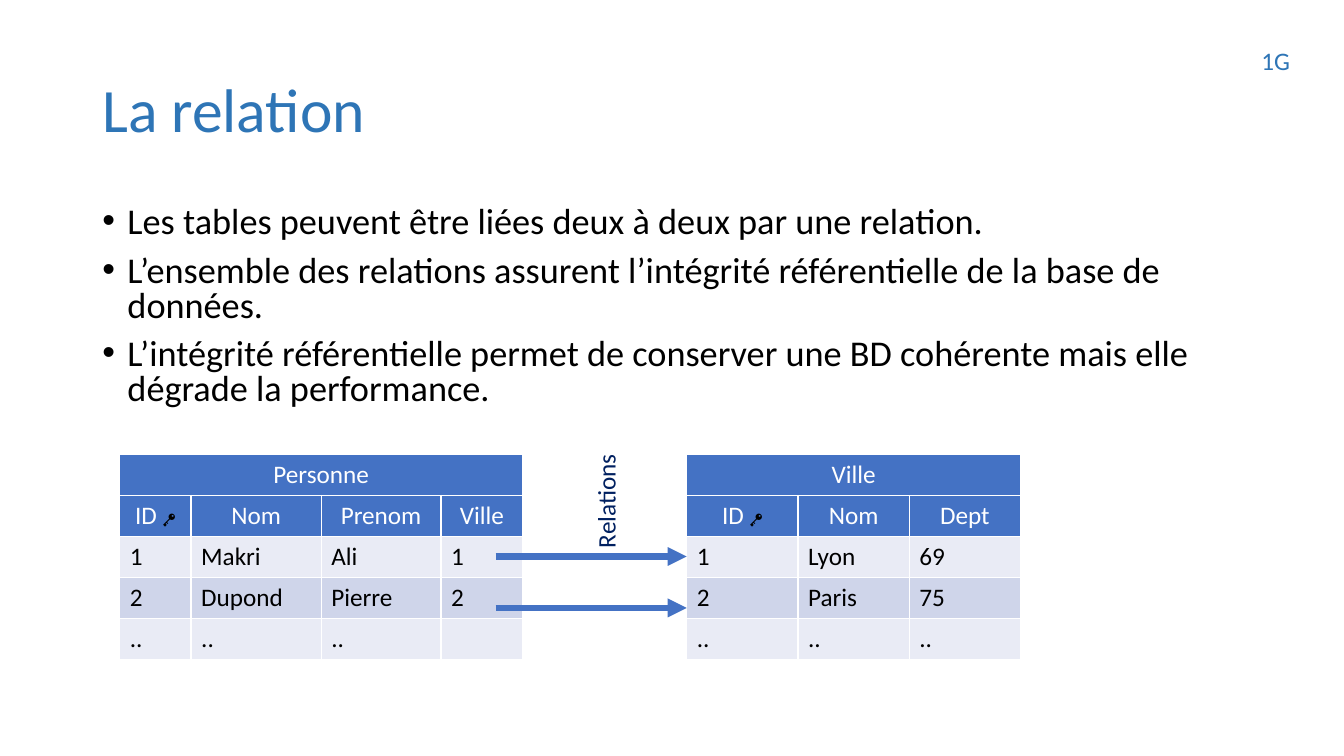
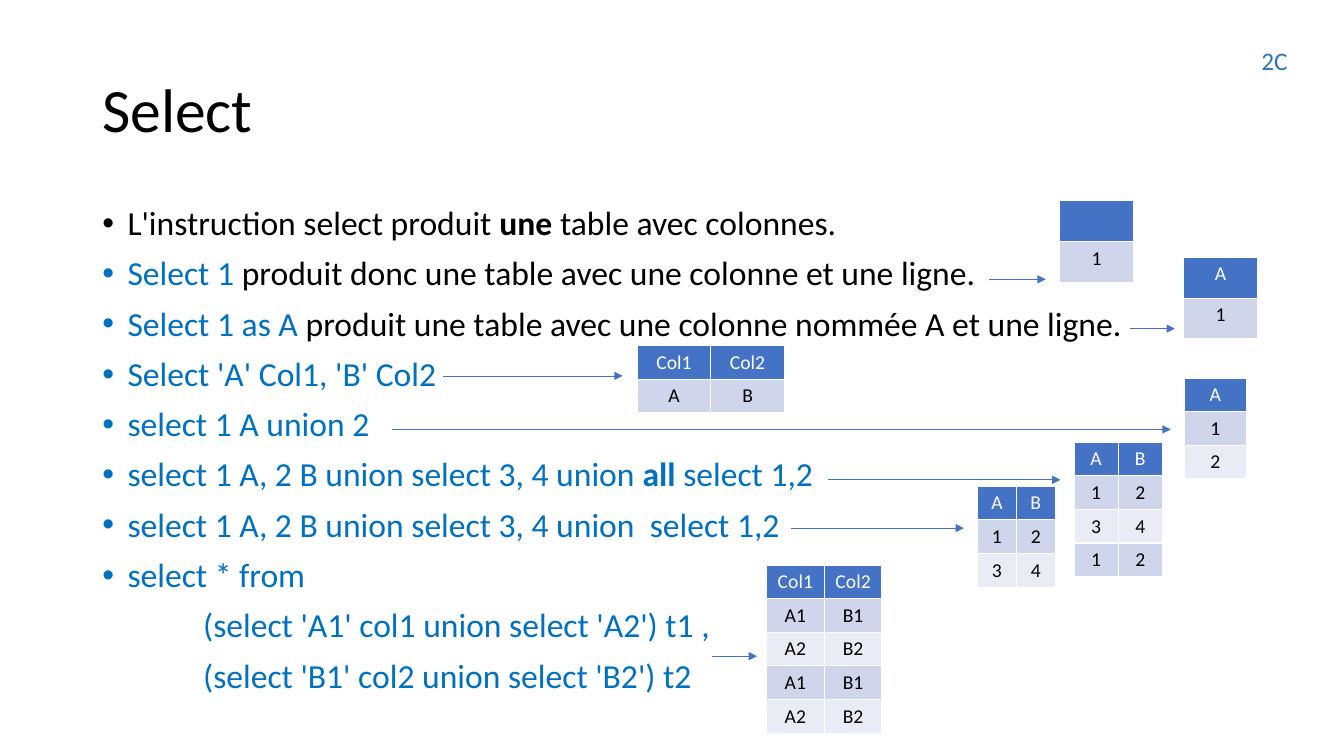
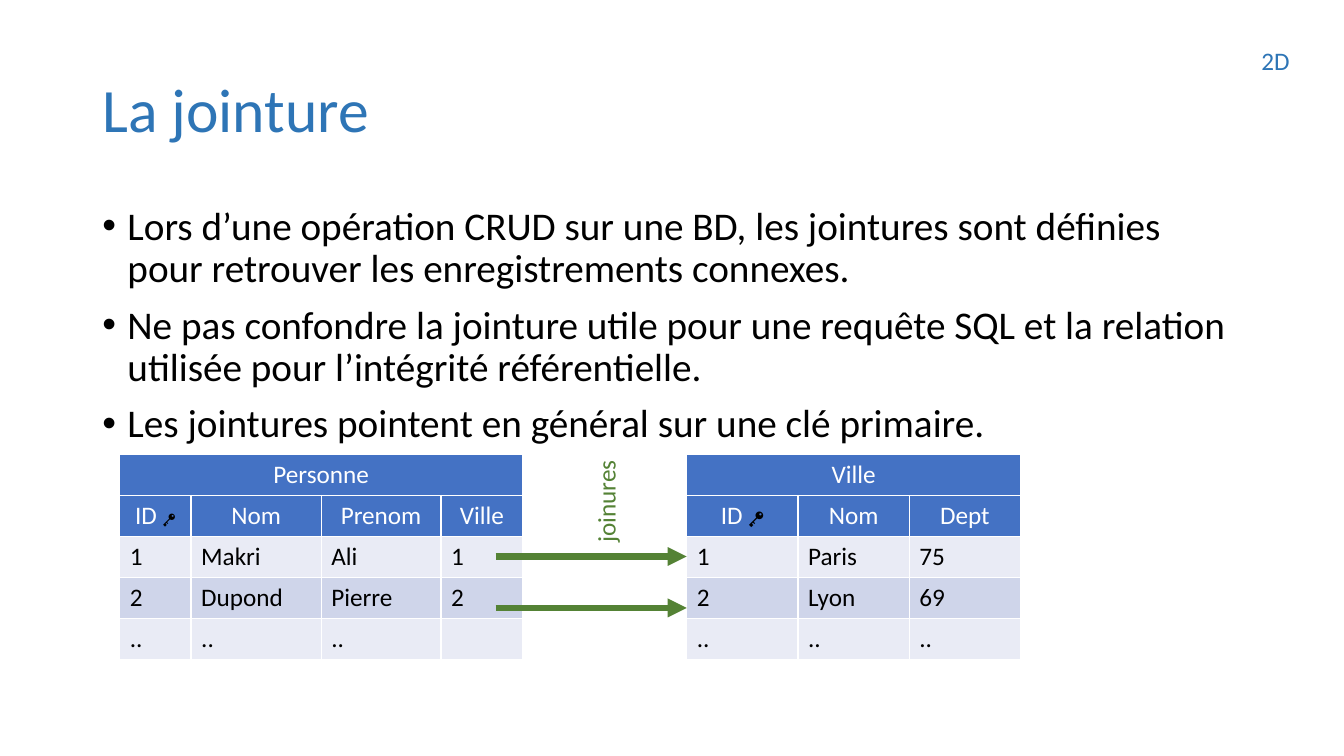
from lxml.etree import SubElement
from pptx import Presentation
from pptx.dml.color import RGBColor
from pptx.enum.shapes import MSO_CONNECTOR as Connector
from pptx.enum.text import MSO_ANCHOR as Anchor, MSO_AUTO_SIZE as AutoSize, PP_ALIGN as Align
from pptx.oxml.ns import qn
from pptx.util import Emu, Pt

FONT = "Calibri"
BLACK, WHITE = "000000", "FFFFFF"
TITLE_BLUE, SQL_BLUE, NAVY, GREEN = "2E75B6", "0070C0", "002060", "548235"
HEADER_BLUE, BAND_DARK, BAND_LIGHT = "4472C4", "CFD5EA", "E9EBF5"
SQL = {"color": SQL_BLUE}
SQL_BOLD = {"color": SQL_BLUE, "bold": True}
LEFT, CONTENT_WIDTH, TABLES_TOP = 88, 1104, 433
TALL_ROW, SHORT_ROW = 39, 32


def px(value):
    """Turn whole pixels into EMU."""
    return Emu(value * 9525)


def rgb(value):
    """Turn a hex string into a colour."""
    return RGBColor.from_string(value)


def add_text(paragraph, text, *, size=18, color=BLACK, bold=False):
    """Append one formatted run to a paragraph."""
    run = paragraph.add_run()
    run.text = text
    run.font.name = FONT
    run.font.size = Pt(size)
    run.font.bold = bold
    run.font.color.rgb = rgb(color)


def add_box(slide, left, top, width, height, wrap=True):
    """Add an empty text box."""
    shape = slide.shapes.add_textbox(px(left), px(top), px(width), px(height))
    shape.text_frame.word_wrap = wrap
    return shape


def add_label(slide, text, left, top, width, color, rotation=0):
    """Add a one-line label that fits its text."""
    shape = add_box(slide, left, top, width, 38, wrap=False)
    shape.text_frame.auto_size = AutoSize.SHAPE_TO_FIT_TEXT
    shape.rotation = rotation
    add_text(shape.text_frame.paragraphs[0], text, color=color)


def add_slide(presentation, title, code, title_color=TITLE_BLUE):
    """Add a blank slide with its title and corner code."""
    slide = presentation.slides.add_slide(presentation.slide_layouts[6])
    frame = add_box(slide, LEFT, 38, CONTENT_WIDTH, 139).text_frame
    frame.vertical_anchor = Anchor.MIDDLE
    frame.paragraphs[0].line_spacing = 0.9
    add_text(frame.paragraphs[0], title, size=44, color=title_color)
    add_label(slide, code, 1192, 38, 47, TITLE_BLUE)
    return slide


def indent(paragraph, margin, bullet=False):
    """Indent a paragraph, with a hanging bullet if asked."""
    properties = paragraph._p.get_or_add_pPr()
    properties.set("marL", str(px(margin)))
    properties.set("indent", str(px(-margin if bullet else 0)))
    if bullet:
        SubElement(properties, qn("a:buFont"), typeface="Arial")
        SubElement(properties, qn("a:buChar"), char="•")


def add_body(slide, bullets, *, height, size, width=CONTENT_WIDTH, spacing=0.9, continuation=()):
    """Add bulleted paragraphs of runs, then indented lines without bullets."""
    frame = add_box(slide, LEFT, 192, width, height).text_frame
    for index, runs in enumerate([*bullets, *continuation]):
        paragraph = frame.add_paragraph() if index else frame.paragraphs[0]
        bullet = index < len(bullets)
        indent(paragraph, 24 if bullet else 96, bullet)
        paragraph.line_spacing = spacing
        paragraph.space_before = Pt(10)
        for text, style in runs:
            add_text(paragraph, text, size=size, **style)


def add_arrow(slide, start, end, y, color=HEADER_BLUE, width=0.5):
    """Add a level arrow pointing right."""
    connector = slide.shapes.add_connector(Connector.STRAIGHT, px(start), px(y), px(end), px(y))
    connector.line.color.rgb = rgb(color)
    connector.line.width = Pt(width)
    properties = connector.element.spPr
    SubElement(properties.find(qn("a:ln")), qn("a:tailEnd"), type="triangle")
    SubElement(properties, qn("a:effectLst"))


def add_grid(slide, left, top, widths, row_height, rows, *, size=14, headers=1, centered=True, key_size=10):
    """Add a banded table whose first rows are headers."""
    frame = slide.shapes.add_table(
        len(rows), len(widths), px(left), px(top), px(sum(widths)), px(row_height * len(rows)))
    table = frame.table
    for column, width in zip(table.columns, widths):
        column.width = px(width)
    for row_index, values in enumerate(rows):
        table.rows[row_index].height = px(row_height)
        header = row_index < headers
        band = BAND_DARK if row_index % 2 else BAND_LIGHT
        for column_index in range(len(widths)):
            cell = table.cell(row_index, column_index)
            cell.fill.solid()
            cell.fill.fore_color.rgb = rgb(HEADER_BLUE if header else band)
            text = values[column_index] if column_index < len(values) else ""
            if not text:
                continue
            paragraph = cell.text_frame.paragraphs[0]
            paragraph.alignment = Align.CENTER if header or centered else Align.LEFT
            label, key, _ = text.partition("🔑")
            add_text(paragraph, label, size=size, color=WHITE if header else BLACK)
            if key:
                add_text(paragraph, key, size=key_size)
    return table


def add_entity(slide, name, left, widths, rows, key_size=10):
    """Add a named database table with a merged name row."""
    table = add_grid(slide, left, TABLES_TOP, widths, TALL_ROW, [[name], *rows],
                     size=18, headers=2, centered=False, key_size=key_size)
    table.cell(0, 0).merge(table.cell(0, len(widths) - 1))


def add_linked_entities(slide, cities, link, label_width, link_color, label_color, key_size=10):
    """Add the person and city tables and the arrows between them."""
    add_entity(slide, "Personne", 114, [68, 124, 114, 78], [
        ["ID 🔑", "Nom", "Prenom", "Ville"],
        ["1", "Makri", "Ali", "1"],
        ["2", "Dupond", "Pierre", "2"],
        ["..", "..", ".."],
    ])
    city_rows = [[str(number), *city] for number, city in enumerate(cities, 1)]
    add_entity(slide, "Ville", 654, [106] * 3,
               [["ID 🔑", "Nom", "Dept"], *city_rows, [".."] * 3], key_size)
    for y in (530, 579):
        add_arrow(slide, 472, 654, y, link_color, 4.5)
    add_label(slide, link, 576 - label_width // 2, 458, label_width, label_color, 270)


def build_relation(presentation):
    """Build the slide on relations."""
    slide = add_slide(presentation, "La relation", "1G")
    add_body(slide, [
        [("Les tables peuvent être liées deux à deux par une relation.", {})],
        [("L’ensemble des relations assurent l’intégrité référentielle de la base de données.", {})],
        [("L’intégrité référentielle permet de conserver une BD cohérente mais elle "
          "dégrade la performance.", {})],
    ], height=216, size=25.9, spacing=0.8)
    add_linked_entities(slide, [("Lyon", "69"), ("Paris", "75")],
                        "Relations", 109, HEADER_BLUE, NAVY)


def build_select(presentation):
    """Build the slide on select and its result tables."""
    slide = add_slide(presentation, "Select", "2C", BLACK)
    add_body(slide, [
        [("L'instruction select produit ", {}), ("une", {"bold": True}), (" table avec colonnes.", {})],
        [("Select 1", SQL), (" produit donc une table avec une colonne et une ligne.", {})],
        [("Select 1 as A", SQL), (" produit une table avec une colonne nommée A et une ligne.", {})],
        [("Select 'A' Col1, 'B' Col2", SQL)],
        [("select 1 A union 2", SQL)],
        [("select 1 A, 2 B union select 3, 4 union ", SQL), ("all", SQL_BOLD), (" select 1,2", SQL)],
        [("select 1 A, 2 B union select 3, 4 union  select 1,2", SQL)],
        [("select * from", SQL)],
    ], height=507, size=24, width=1136, continuation=[
        [("(select 'A1' col1 union select 'A2') t1 ,", SQL)],
        [("(select 'B1' col2 union select 'B2') t2", SQL)],
    ])
    results = [
        (1009, 191, [71], TALL_ROW, ["", "1"]),
        (1127, 245, [71], TALL_ROW, ["A", "1"]),
        (607, 329, [70] * 2, SHORT_ROW, [("Col1", "Col2"), "AB"]),
        (1128, 360, [59], SHORT_ROW, ["A", "1", "2"]),
        (1023, 421, [42] * 2, SHORT_ROW, ["AB", "12", "34", "12"]),
        (931, 463, [37] * 2, SHORT_ROW, ["AB", "12", "34"]),
        (730, 538, [55] * 2, SHORT_ROW, [("Col1", "Col2")] + [("A1", "B1"), ("A2", "B2")] * 2),
    ]
    for result in results:
        add_grid(slide, *result)
    arrows = [(942, 996, 266), (1076, 1119, 313), (422, 593, 358), (373, 1115, 409),
              (789, 1010, 457), (753, 918, 503), (678, 721, 625)]
    for arrow in arrows:
        add_arrow(slide, *arrow)


def build_join(presentation):
    """Build the slide on joins."""
    slide = add_slide(presentation, "La jointure", "2D")
    add_body(slide, [
        [("Lors d’une opération CRUD sur une BD, les jointures sont définies pour "
          "retrouver les enregistrements connexes.", {})],
        [("Ne pas confondre la jointure utile pour une requête SQL et la relation "
          "utilisée pour l’intégrité référentielle.", {})],
        [("Les jointures pointent en général sur une clé primaire.", {})],
    ], height=457, size=28)
    add_linked_entities(slide, [("Paris", "75"), ("Lyon", "69")],
                        "joinures", 99, GREEN, GREEN, key_size=12)


def main():
    """Build and save the presentation."""
    presentation = Presentation()
    presentation.slide_width = px(1280)
    presentation.slide_height = px(720)
    build_relation(presentation)
    build_select(presentation)
    build_join(presentation)
    presentation.save("out.pptx")


if __name__ == "__main__":
    main()
